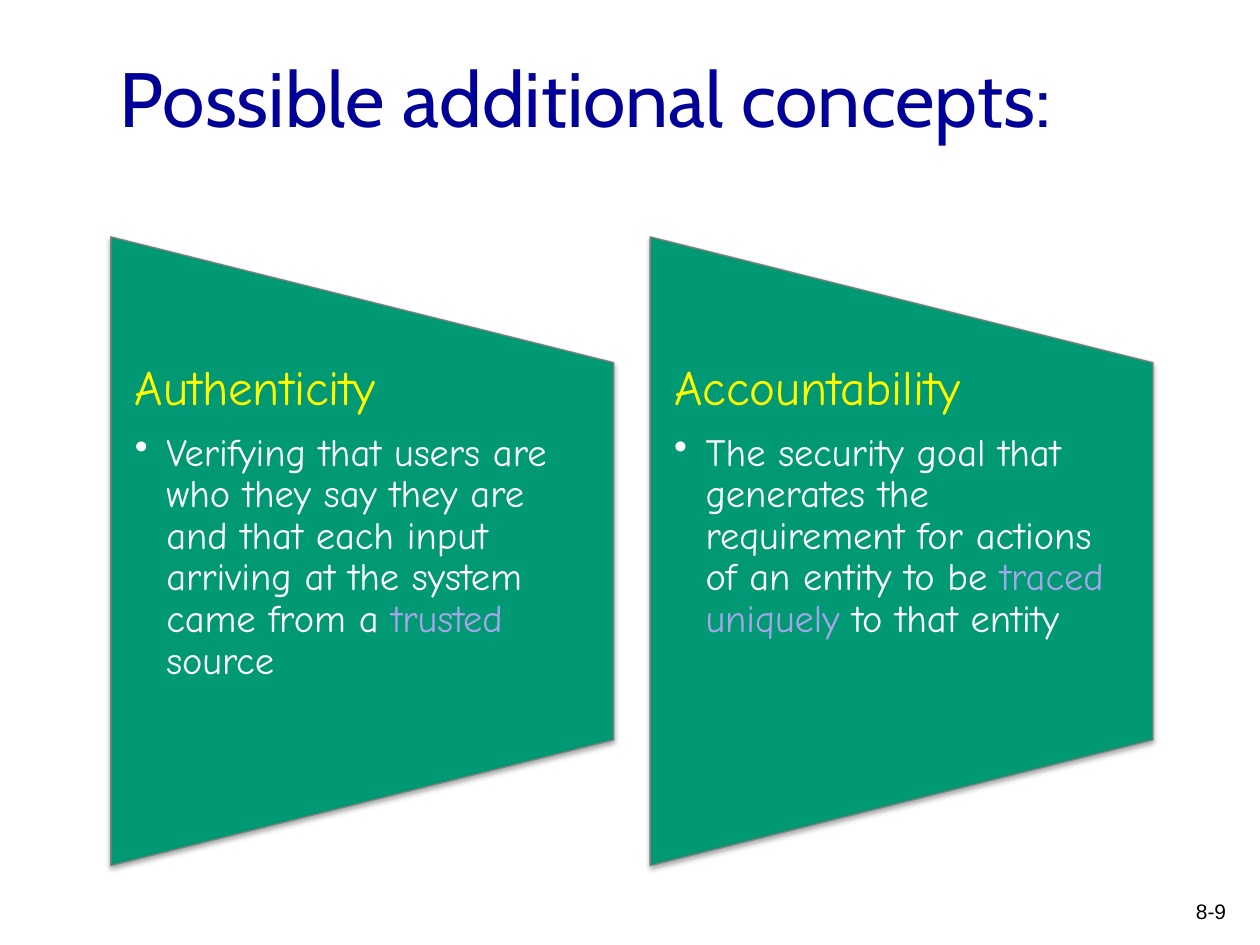
from typing import NamedTuple

from lxml.etree import SubElement
from pptx import Presentation
from pptx.dml.color import RGBColor
from pptx.enum.shapes import MSO_SHAPE as Shape
from pptx.enum.text import MSO_ANCHOR as Anchor, MSO_AUTO_SIZE as AutoSize, PP_ALIGN as Align
from pptx.oxml.ns import qn
from pptx.util import Inches, Pt

NAVY, GREEN, GREY = "000099", "009973", "808080"
YELLOW, WHITE, LILAC, BLACK = "FFFF00", "FFFFFF", "A5A5E9", "000000"
PANEL_WIDTH, PANEL_HEIGHT = 3.99, 4.99
PANEL_CENTER_Y = 4.375
TEXT_HEIGHT = 2.99


class Concept(NamedTuple):
    left: float
    heading: str
    before: str
    highlight: str
    after: str


CONCEPTS = [
    Concept(0.88, "Authenticity",
            "Verifying that users are who they say they are and that each input "
            "arriving at the system came from a", " trusted ", "source"),
    Concept(5.16, "Accountability",
            "The security goal that generates the requirement for actions of an "
            "entity to be ", "traced uniquely ", "to that entity"),
]


def color(value: str) -> RGBColor:
    return RGBColor.from_string(value)


def add_span(para, text: str, font: str, size: float, fill: str) -> None:
    span = para.add_run()
    span.text = text
    for name, value in {"name": font, "size": Pt(size)}.items():
        setattr(span.font, name, value)
    span.font.color.rgb = color(fill)


def format_object(target, **values) -> None:
    for name, value in values.items():
        setattr(target, name, value)


def add_soft_shadow(shape) -> None:
    shape.shadow.inherit = False
    effects = shape._element.spPr.find(qn("a:effectLst"))
    shadow = SubElement(effects, qn("a:outerShdw"), blurRad=str(Pt(3.1)),
                        dist=str(Pt(1.8)), dir="5400000", rotWithShape="0")
    tint = SubElement(shadow, qn("a:srgbClr"), val=BLACK)
    SubElement(tint, qn("a:alpha"), val="35000")


def add_bullet(para) -> None:
    props = para._p.get_or_add_pPr()
    props.set("marL", str(Inches(0.25)))
    props.set("indent", str(Inches(-0.25)))
    SubElement(props, qn("a:buChar"), char="•")


def add_panel(page, concept: Concept) -> None:
    # The trapezoid is turned a quarter, so its width and height swap
    center_x = concept.left + PANEL_WIDTH / 2
    panel = page.shapes.add_shape(
        Shape.FLOWCHART_MANUAL_OPERATION,
        Inches(center_x - PANEL_HEIGHT / 2), Inches(PANEL_CENTER_Y - PANEL_WIDTH / 2),
        Inches(PANEL_HEIGHT), Inches(PANEL_WIDTH))
    panel.rotation = 270
    panel.fill.solid()
    panel.fill.fore_color.rgb = color(GREEN)
    panel.line.color.rgb = color(GREY)
    panel.line.width = Pt(0.75)
    add_soft_shadow(panel)

    # Heading and bullet
    box = page.shapes.add_textbox(
        Inches(concept.left), Inches(PANEL_CENTER_Y - TEXT_HEIGHT / 2),
        Inches(PANEL_WIDTH), Inches(TEXT_HEIGHT))
    frame = box.text_frame
    format_object(frame, word_wrap=True, vertical_anchor=Anchor.TOP,
                  margin_left=Inches(0.19), margin_right=Inches(0.19),
                  margin_top=0, margin_bottom=0)
    heading = frame.paragraphs[0]
    format_object(heading, line_spacing=0.9, space_after=Pt(9.8))
    add_span(heading, concept.heading, "Comic Neue", 28, YELLOW)

    detail = frame.add_paragraph()
    add_bullet(detail)
    format_object(detail, level=1, line_spacing=0.9, space_after=Pt(3.3))
    for text, fill in ((concept.before, WHITE), (concept.highlight, LILAC),
                       (concept.after, WHITE)):
        add_span(detail, text, "Comic Neue", 22, fill)


def main() -> None:
    deck = Presentation()
    format_object(deck, slide_width=Inches(10), slide_height=Inches(7.5))
    page = deck.slides.add_slide(deck.slide_layouts[5])

    # Title
    title = page.shapes.title
    format_object(title, left=Inches(0.85), top=Inches(0.07),
                  width=Inches(8.29), height=Inches(1.4))
    format_object(title.text_frame, word_wrap=True, auto_size=AutoSize.NONE,
                  vertical_anchor=Anchor.MIDDLE)
    para = title.text_frame.paragraphs[0]
    para.alignment = Align.LEFT
    add_span(para, "Possible additional concepts:", "Cabin", 44, NAVY)

    # Concept panels
    for concept in CONCEPTS:
        add_panel(page, concept)

    # Page number
    number = page.shapes.add_textbox(Inches(9.09), Inches(7.08), Inches(0.74), Inches(0.33))
    number.text_frame.word_wrap = True
    para = number.text_frame.paragraphs[0]
    para.alignment = Align.RIGHT
    add_span(para, "8-9", "Arial", 12, BLACK)

    deck.save("out.pptx")


if __name__ == "__main__":
    main()
